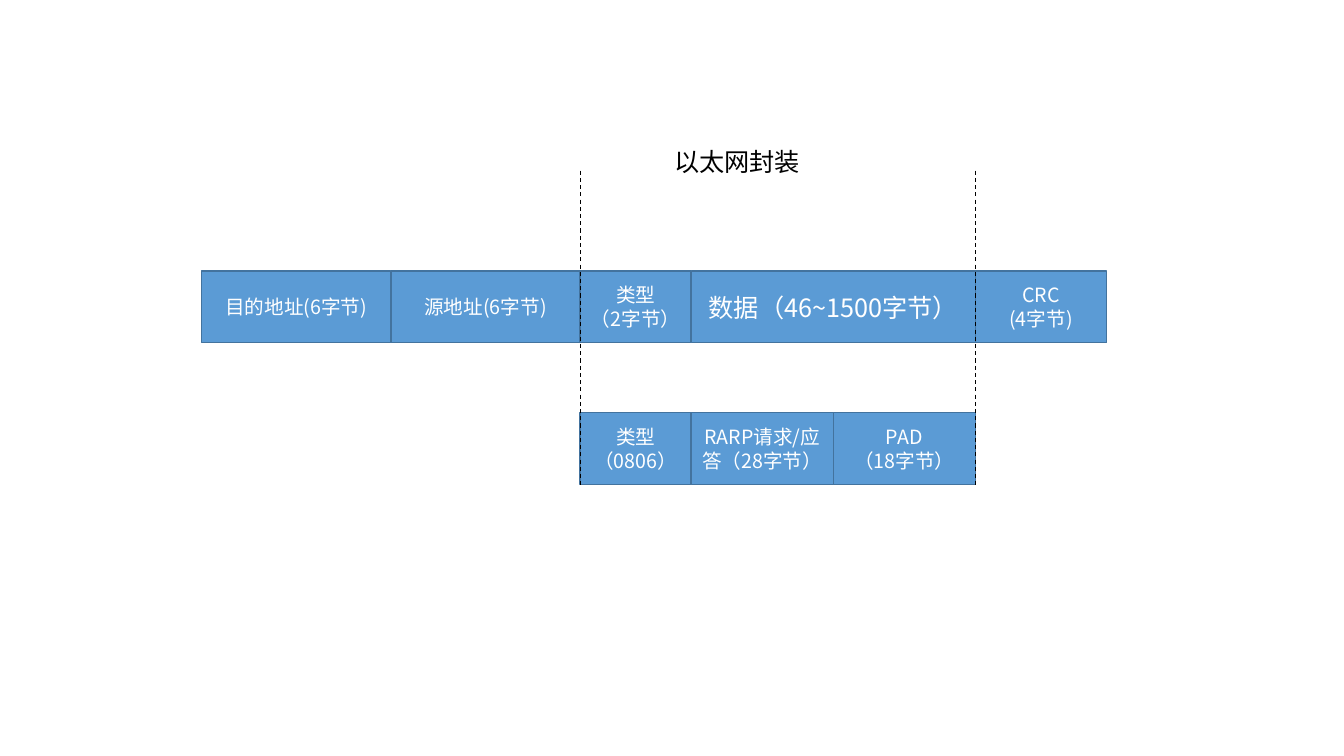
from dataclasses import dataclass
from itertools import accumulate

from lxml.etree import SubElement
from pptx import Presentation
from pptx.dml.color import RGBColor
from pptx.enum.dml import MSO_LINE
from pptx.enum.shapes import MSO_CONNECTOR, MSO_SHAPE
from pptx.enum.text import MSO_ANCHOR, PP_ALIGN
from pptx.oxml.ns import qn
from pptx.util import Cm, Pt


@dataclass(frozen=True)
class Theme:
    font: str = "Noto Sans CJK SC"
    fill: RGBColor = RGBColor(0x5B, 0x9B, 0xD5)
    border: RGBColor = RGBColor(0x43, 0x73, 0x9E)
    light: RGBColor = RGBColor(0xFF, 0xFF, 0xFF)
    dark: RGBColor = RGBColor(0, 0, 0)
    body: int = 14
    large: int = 18


def write_text(frame, text, *, font, size, color, align, anchor):
    """Fill a text frame, one paragraph per line of text."""
    frame.word_wrap = True
    frame.vertical_anchor = anchor
    for index, line in enumerate(text.split("\n")):
        para = frame.paragraphs[0] if index == 0 else frame.add_paragraph()
        para.alignment = align
        span = para.add_run()
        span.text = line
        span.font.name = font
        span.font.size = Pt(size)
        span.font.color.rgb = color
        # East Asian glyphs take their font from a separate element
        SubElement(span.font._element, qn("a:ea"), typeface=font)


class Painter:
    def __init__(self, slide, theme):
        self.slide = slide
        self.theme = theme

    def field(self, left, top, width, height, text, size):
        box = self.slide.shapes.add_shape(
            MSO_SHAPE.RECTANGLE, Cm(left), Cm(top), Cm(width), Cm(height))
        box.shadow.inherit = False
        box.fill.solid()
        box.fill.fore_color.rgb = self.theme.fill
        box.line.color.rgb = self.theme.border
        box.line.width = Pt(1)
        write_text(box.text_frame, text, font=self.theme.font, size=size,
                   color=self.theme.light, align=PP_ALIGN.CENTER,
                   anchor=MSO_ANCHOR.MIDDLE)

    def frame_row(self, left, top, height, fields):
        """Place fields side by side; each is (width, text, size)."""
        edges = accumulate((width for width, _, _ in fields), initial=left)
        for edge, (width, text, size) in zip(edges, fields):
            self.field(edge, top, width, height, text, size)

    def guide(self, x, top, bottom):
        line = self.slide.shapes.add_connector(
            MSO_CONNECTOR.STRAIGHT, Cm(x), Cm(top), Cm(x), Cm(bottom))
        line.line.color.rgb = self.theme.dark
        line.line.width = Pt(0.75)
        line.line.dash_style = MSO_LINE.DASH
        SubElement(line._element.spPr, qn("a:effectLst"))

    def label(self, left, top, width, height, text):
        box = self.slide.shapes.add_textbox(
            Cm(left), Cm(top), Cm(width), Cm(height))
        write_text(box.text_frame, text, font=self.theme.font,
                   size=self.theme.large, color=self.theme.dark,
                   align=PP_ALIGN.LEFT, anchor=MSO_ANCHOR.TOP)


theme = Theme()
deck = Presentation()
deck.slide_width, deck.slide_height = Cm(33.87), Cm(19.05)
page = deck.slides.add_slide(deck.slide_layouts[6])
painter = Painter(page, theme)

# Shared measures
frame_left, row_height = 5.08, 1.81
address_width, type_width, data_width, crc_width = 4.77, 2.8, 7.16, 3.31
payload_left = frame_left + 2 * address_width
payload_right = payload_left + type_width + data_width
ethernet_top, arp_top = 6.83, 10.4

# Ethernet frame
painter.frame_row(frame_left, ethernet_top, row_height, [
    (address_width, "目的地址(6字节)", theme.body),
    (address_width, "源地址(6字节)", theme.body),
    (type_width, "类型\n（2字节）", theme.body),
    (data_width, "数据（46~1500字节）", theme.large),
    (crc_width, "CRC\n(4字节)", theme.body),
])

# RARP payload
painter.frame_row(payload_left, arp_top, row_height, [
    (type_width, "类型\n（0806）", theme.body),
    (data_width / 2, "RARP请求/应答（28字节）", theme.body),
    (data_width / 2, "PAD\n（18字节）", theme.body),
])

# Guides around the payload, and the title
for guide_x in (payload_left, payload_right):
    painter.guide(guide_x, 4.3, arp_top + row_height)
painter.label(16.74, 3.56, 5.31, 1.02, "以太网封装")

deck.save("out.pptx")
